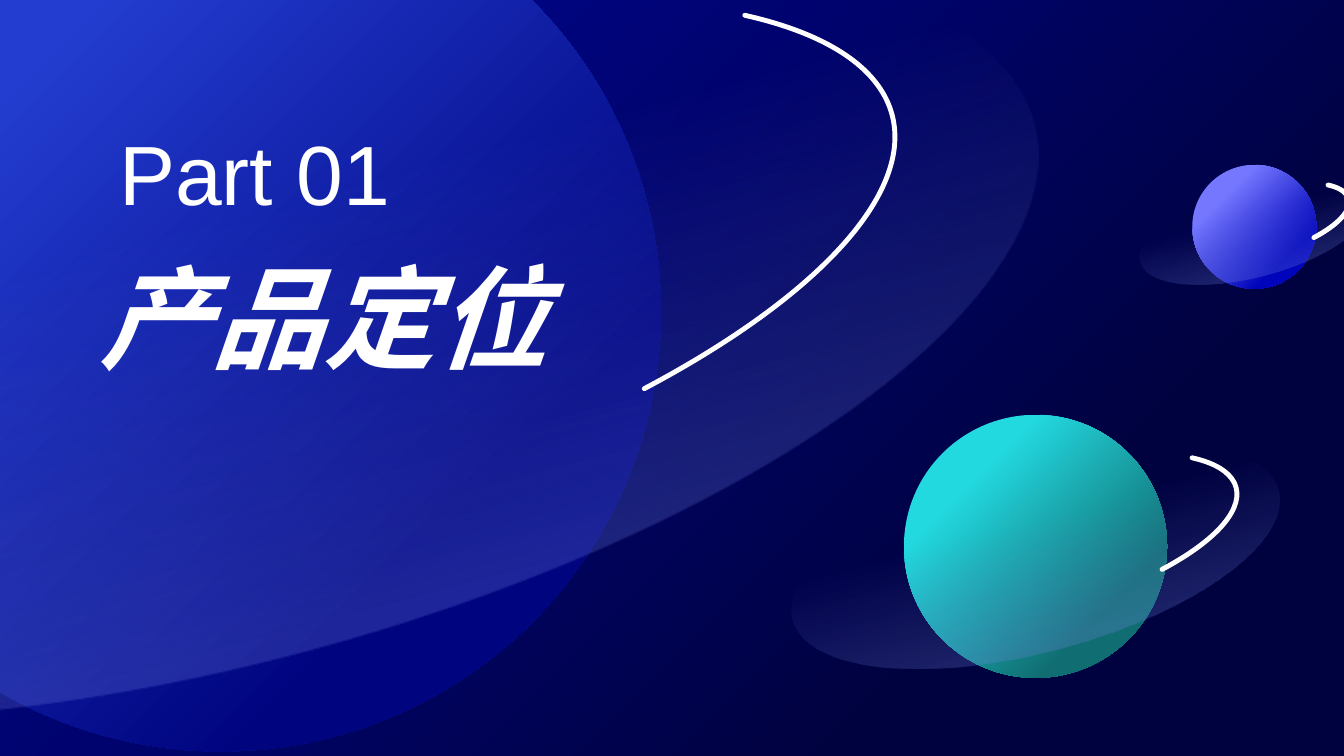
from lxml import etree
from pptx import Presentation
from pptx.dml.color import RGBColor
from pptx.enum import shapes, text
from pptx.oxml import ns
from pptx.util import Inches, Pt

HUES = {
    "navy": "00047F", "night": "000240", "royal": "233DD0",
    "lilac": "7578FF", "cobalt": "0004BA", "aqua": "23D9E0",
    "teal": "106E72", "blue": "0000FF", "deep": "000080",
    "ring": "7687E8", "white": "FFFFFF",
}
BASE = 8.73  # diameter to which the ring and arc sizes belong
RING = (16.69, 6.41, 0.28)  # width, height, drop below the centre
ARC = (13.78, 4.79, -0.18)
TILT = 345.1


def hue(name):
    return RGBColor.from_string(HUES[name])


def add_sub(node, tag, **vals):
    return etree.SubElement(node, ns.qn(tag), **vals)


def blend(fill, names, ends=(25, 76), angle=315):
    fill.gradient()
    fill.gradient_angle = angle
    for stop, name, end in zip(fill.gradient_stops, names, ends):
        stop.color.rgb = hue(name)
        stop.position = end / 100


def add_form(slide, kind, mid, size):
    """Add an unlined preset shape around its centre."""
    x, y = mid
    w, h = size
    form = slide.shapes.add_shape(
        kind, Inches(x - w / 2), Inches(y - h / 2), Inches(w), Inches(h))
    form.shadow.inherit = False
    form.line.fill.background()
    return form


def add_disc(slide, mid, size, names):
    disc = add_form(slide, shapes.MSO_SHAPE.OVAL, mid, (size, size))
    blend(disc.fill, names)
    return disc


def add_orbit(slide, kind, mid, size, dims):
    """Add a tilted shape scaled to the planet it goes round."""
    w, h, drop = (d * size / BASE for d in dims)
    orbit = add_form(slide, kind, (mid[0], mid[1] + drop), (w, h))
    orbit.rotation = TILT
    return orbit


def add_planet(slide, mid, size, names):
    add_disc(slide, mid, size, names)

    ring = add_orbit(slide, shapes.MSO_SHAPE.OVAL, mid, size, RING)
    blend(ring.fill, ("ring", "ring"), (42, 100), 270)
    tones = ring._element.spPr.iter(ns.qn("a:srgbClr"))
    for tone, alpha in zip(tones, ("0", "50000")):
        add_sub(tone, "a:alpha", val=alpha)

    arc = add_orbit(slide, shapes.MSO_SHAPE.ARC, mid, size, ARC)
    arc.adjustments[0] = 208.17
    arc.adjustments[1] = 16.554
    arc.fill.background()
    arc.line.color.rgb = hue("white")
    arc.line.width = Pt(3.5)
    arc.line._ln.set("cap", "rnd")


def add_glow(slide, mid, size, names):
    glow = add_disc(slide, mid, size, names)
    effects = glow._element.spPr.find(ns.qn("a:effectLst"))
    add_sub(effects, "a:softEdge", rad=str(Inches(0.35)))


def set_text(box, words, place, wrap, align, looks):
    for key, val in zip(("left", "top", "width", "height"), place):
        setattr(box, key, Inches(val))
    frame = box.text_frame
    frame.text = words
    form = {"word_wrap": wrap, "auto_size": text.MSO_AUTO_SIZE.NONE,
            "vertical_anchor": text.MSO_ANCHOR.TOP}
    for key, val in form.items():
        setattr(frame, key, val)
    para = frame.paragraphs[0]
    para.alignment = align
    font = para.runs[0].font
    for key, val in {"name": "Arial", **looks}.items():
        setattr(font, key, val)
    font.color.rgb = hue("white")
    add_sub(font._element, "a:ea", typeface="Arial")


def main():
    deck = Presentation()
    deck.slide_width, deck.slide_height = Inches(13.33), Inches(7.5)
    slide = deck.slides.add_slide(deck.slide_layouts[5])
    blend(slide.background.fill, ("navy", "night"))

    add_planet(slide, (2.19, 3.09), BASE, ("royal", "navy"))

    title = slide.shapes.title
    slide.shapes._spTree.append(title._element)  # in front of the planet
    set_text(title, "产品定位", (0.89, 2.42, 6.6, 1.45), True,
             text.PP_ALIGN.JUSTIFY,
             {"size": Pt(80), "bold": True, "italic": True})
    part = slide.shapes.add_textbox(0, 0, 0, 0)
    set_text(part, "Part 01", (1.07, 1.16, 2.91, 1.11), False,
             text.PP_ALIGN.CENTER, {"size": Pt(60)})

    add_planet(slide, (12.44, 2.25), 1.23, ("lilac", "cobalt"))
    add_glow(slide, (7.19, 5.5), 0.96, ("blue", "deep"))
    add_glow(slide, (10.24, 3.27), 0.81, ("aqua", "deep"))
    add_planet(slide, (10.27, 5.42), 2.61, ("aqua", "teal"))

    deck.save("out.pptx")


if __name__ == "__main__":
    main()
